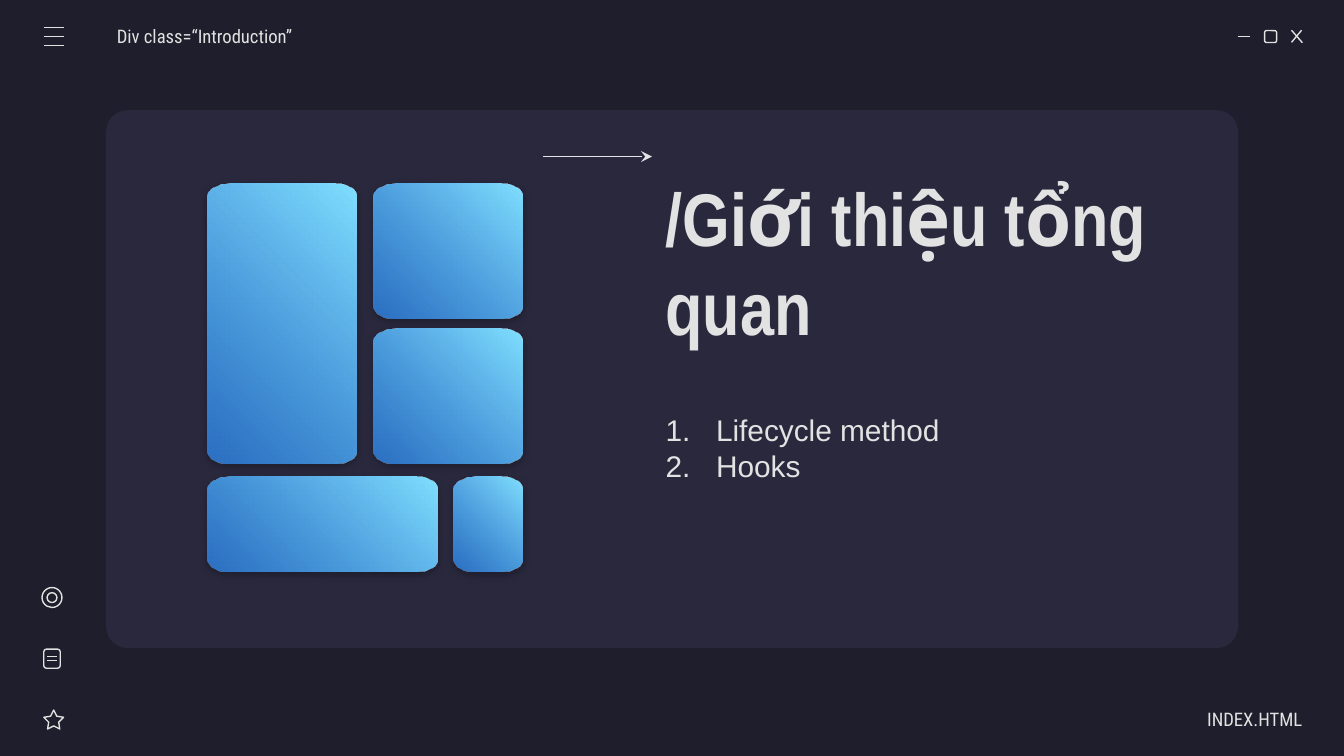
from lxml.etree import SubElement
from pptx import Presentation
from pptx.dml.color import RGBColor
from pptx.enum.lang import MSO_LANGUAGE_ID as Language
from pptx.enum.shapes import MSO_CONNECTOR as Connector, MSO_SHAPE as Shape
from pptx.enum.text import MSO_ANCHOR as Anchor, MSO_AUTO_SIZE as AutoSize, PP_ALIGN as Align
from pptx.oxml.ns import qn
from pptx.util import Pt

COLORS = {"background": "1E1E2C", "panel": "29283D", "ink": "E2E2E2",
          "tile light": "80DFFF", "tile deep": "318FFA", "shadow": "000000"}

TITLE = "/Giới thiệu tổng quan"
TOPICS = ["Lifecycle method", "Hooks"]
TAB_LABEL = "Div class=“Introduction”"
FILE_LABEL = "INDEX.HTML"

# left, top, width, height
PANEL = (56.9, 59, 606.4, 288.2)
TITLE_BOX = (349.4, 84.2, 285.1, 111.6)
TOPICS_BOX = (349.4, 177.1, 285.1, 125.3)
TAB_BOX = (62.6, 8.8, 116.6, 21.6)
FILE_BOX = (613.4, 374.6, 84.2, 21.6)

TILES = [(111.1, 98.4, 79.9, 149.9),
         (200.1, 98.4, 79.9, 72.2),
         (200.1, 176.1, 79.9, 72.2),
         (111.1, 255.4, 123.2, 51),
         (242.9, 255.4, 37.1, 51)]
CORNER = (11.5, 7.2)
CURVE = 0.55  # how far the handles of a quarter ellipse reach

ICON_SHAPES = [(Shape.ROUNDED_RECTANGLE, (677.5, 16.4, 6.4, 6.4)),
               (Shape.STAR_5_POINT, (23.5, 380.4, 10.6, 10.2)),
               (Shape.ROUNDED_RECTANGLE, (23.5, 347.8, 8.8, 10.2)),
               (Shape.OVAL, (22.5, 314.8, 10.7, 10.7)),
               (Shape.OVAL, (25.2, 317.5, 5.3, 5.3))]
STAR_DEPTH = 0.254

# x1, y1, x2, y2
MENU_LINES = [(23.4, y, 34.2, y) for y in (14.8, 19.6, 24.4)]
PAGE_LINES = [(25.4, y, 30.4, y) for y in (351.6, 354)]
WINDOW_LINES = [(663, 19.6, 669.6, 19.6),
                (691.9, 16.2, 697.7, 22.9), (697.3, 16.2, 691.9, 22.7)]
ARROW = (290.9, 83.9, 349.3, 83.9)


def rgb(name):
    return RGBColor.from_string(COLORS[name])


def pts(values):
    return [Pt(value) for value in values]


def add_line(ends):
    line = shapes.add_connector(Connector.STRAIGHT, *pts(ends))
    line.line.color.rgb = rgb("ink")
    line.line.width = Pt(0.75)
    SubElement(line._element.spPr, qn("a:effectLst"))
    return line


def round_corners(outline):
    """Turn every other edge of an eight-sided outline into a quarter ellipse."""
    rx, ry = pts(CORNER)
    drawn = outline._element.spPr.find(".//" + qn("a:path"))
    points = [(int(pt.get("x")), int(pt.get("y"))) for pt in drawn.iter(qn("a:pt"))]
    edges = drawn.findall(qn("a:lnTo"))
    for corner, edge in enumerate(edges[::2]):
        (x1, y1), (x2, y2) = points[2 * corner:2 * corner + 2]
        # corners alternate between leaving upright and leaving level
        if corner % 2 == 0:
            handles = [(x1, y1 + (y2 - y1) * CURVE), (x2 + (x1 - x2) * CURVE, y2)]
        else:
            handles = [(x1 + (x2 - x1) * CURVE, y1), (x2, y2 + (y1 - y2) * CURVE)]
        edge.tag = qn("a:cubicBezTo")
        edge.remove(edge[0])
        for x, y in handles + [(x2, y2)]:
            SubElement(edge, qn("a:pt"), x=str(round(x)), y=str(round(y)))


def add_tile(left, top, width, height):
    rx, ry = CORNER
    right, bottom = left + width, top + height
    start, *rest = [(right, top + ry), (right - rx, top),
                    (left + rx, top), (left, top + ry),
                    (left, bottom - ry), (left + rx, bottom),
                    (right - rx, bottom), (right, bottom - ry)]
    builder = shapes.build_freeform(*pts(start), scale=1.0)
    builder.add_line_segments([pts(point) for point in rest], close=True)
    tile = builder.convert_to_shape()
    round_corners(tile)
    tile.line.fill.background()
    tile.fill.gradient()
    tile.fill.gradient_angle = 225
    light, deep = tile.fill.gradient_stops
    for stop, name, position in ((light, "tile light", 0), (deep, "tile deep", 1)):
        stop.color.rgb = rgb(name)
        stop.position = position
    properties = tile._element.spPr
    deep_color = properties.findall(".//" + qn("a:srgbClr"))[-1]
    SubElement(deep_color, qn("a:alpha"), val="72000")

    tile.shadow.inherit = False
    shadow = SubElement(properties.find(qn("a:effectLst")), qn("a:outerShdw"),
                        blurRad=str(Pt(4.5)), dist=str(Pt(1.5)), dir="5400000",
                        algn="bl", rotWithShape="0")
    shade = SubElement(shadow, qn("a:srgbClr"), val=COLORS["shadow"])
    SubElement(shade, qn("a:alpha"), val="32000")


def number(paragraph):
    """Give a paragraph a hanging automatic number."""
    properties = paragraph._p.get_or_add_pPr()
    properties.set("marL", str(Pt(27)))
    properties.set("indent", str(Pt(-27)))
    color = SubElement(properties, qn("a:buClr"))
    SubElement(color, qn("a:srgbClr"), val=COLORS["ink"])
    SubElement(properties, qn("a:buFont"), typeface="Arial")
    SubElement(properties, qn("a:buAutoNum"), type="arabicPeriod")


def write(holder, box, lines, font, size, bold=False, align=Align.LEFT, numbered=False,
          left_inset=7.2, right_inset=7.2, language=Language.ENGLISH_US):
    holder.left, holder.top, holder.width, holder.height = pts(box)
    frame = holder.text_frame
    frame.word_wrap = True
    frame.auto_size = AutoSize.NONE
    frame.vertical_anchor = Anchor.MIDDLE
    frame.margin_left, frame.margin_right = Pt(left_inset), Pt(right_inset)
    frame.margin_top = frame.margin_bottom = Pt(7.2)
    for index, line in enumerate(lines):
        paragraph = frame.add_paragraph() if index else frame.paragraphs[0]
        paragraph.alignment = align
        paragraph.space_before = Pt(0)
        if numbered:
            number(paragraph)
        elif holder.is_placeholder:
            properties = paragraph._p.get_or_add_pPr()
            properties.set("marL", "0")
            properties.set("indent", "0")
            SubElement(properties, qn("a:buNone"))
        run = paragraph.add_run()
        run.text = line
        run.font.name = font
        run.font.size = Pt(size)
        run.font.bold = bold
        run.font.color.rgb = rgb("ink")
        run.font.language_id = language


deck = Presentation()
deck.slide_width, deck.slide_height = Pt(720), Pt(405)
slide = deck.slides.add_slide(deck.slide_layouts[3])
slide.background.fill.solid()
slide.background.fill.fore_color.rgb = rgb("background")
shapes = slide.shapes

panel = shapes.add_shape(Shape.ROUNDED_RECTANGLE, *pts(PANEL))
panel.adjustments[0] = 0.04
panel.fill.solid()
panel.fill.fore_color.rgb = rgb("panel")
panel.line.fill.background()
panel.shadow.inherit = False
shapes._spTree.insert(2, panel._element)  # behind the placeholders

for tile_box in TILES:
    add_tile(*tile_box)

for kind, icon_box in ICON_SHAPES:
    icon = shapes.add_shape(kind, *pts(icon_box))
    icon.fill.background()
    icon.line.color.rgb = rgb("ink")
    icon.line.width = Pt(0.75)
    icon.shadow.inherit = False
    if kind == Shape.STAR_5_POINT:
        icon.adjustments[0] = STAR_DEPTH

for ends in MENU_LINES + PAGE_LINES + WINDOW_LINES:
    add_line(ends)
arrow = add_line(ARROW)
SubElement(arrow._element.spPr.find(qn("a:ln")), qn("a:tailEnd"),
           type="stealth", w="med", len="med")

title, topics, file_label = slide.placeholders
write(title, TITLE_BOX, [TITLE], "Arial Narrow", 40, bold=True,
      language=Language.VIETNAMESE)
write(topics, TOPICS_BOX, TOPICS, "Arial", 16, numbered=True)
write(file_label, FILE_BOX, [FILE_LABEL], "Roboto Condensed", 10,
      align=Align.RIGHT, right_inset=0)
write(shapes.add_textbox(*pts(TAB_BOX)), TAB_BOX, [TAB_LABEL],
      "Roboto Condensed", 10, left_inset=0)

deck.save("out.pptx")
